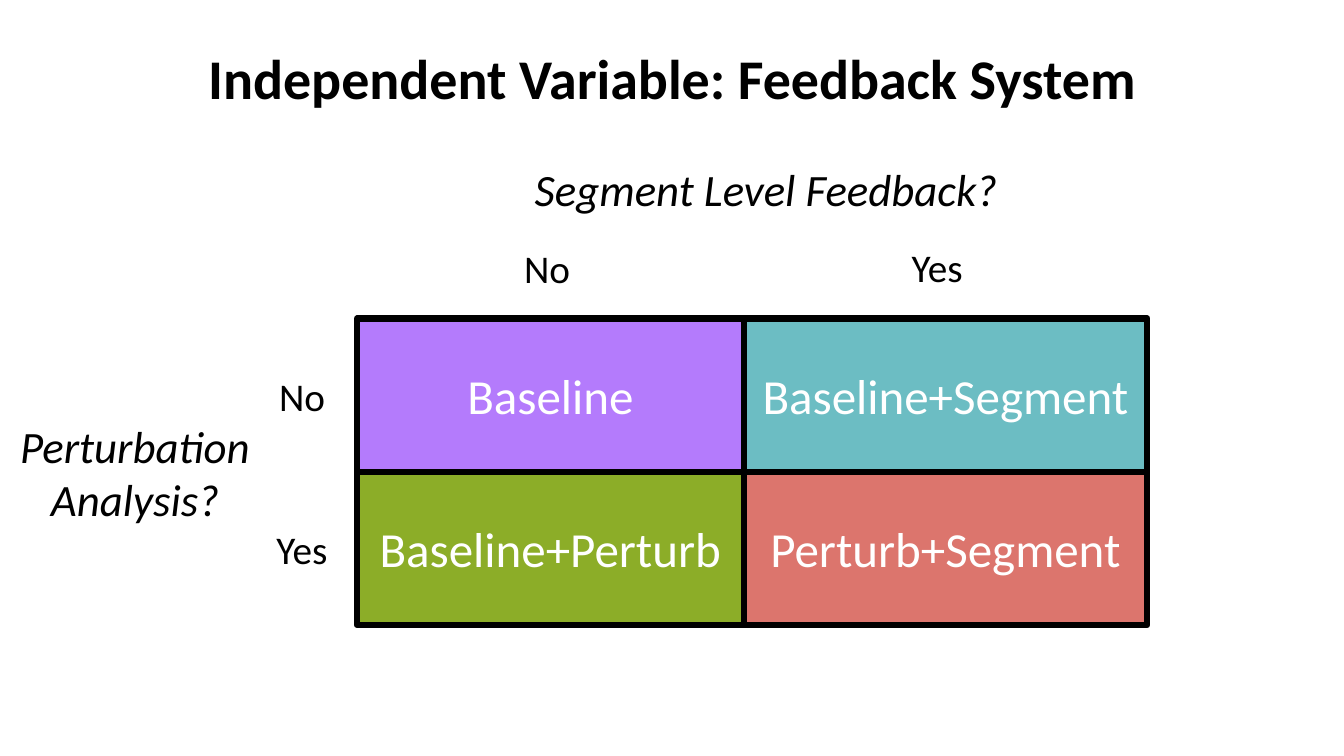
from pptx import Presentation
from pptx.dml.color import RGBColor
from pptx.enum.shapes import MSO_SHAPE
from pptx.enum.text import MSO_ANCHOR, PP_ALIGN
from pptx.util import Inches, Pt

COLORS = {
    "ink": "000000",
    "white": "FFFFFF",
    "purple": "B47BFC",
    "teal": "6CBDC3",
    "green": "8CAD28",
    "red": "DC756D",
}
FONT = "Calibri"

GRID_LEFT, GRID_TOP = 3.54, 3.16
COLUMN_WIDTHS = (3.84, 4.0)
ROW_HEIGHT = 1.52
CONDITIONS = (
    (("Baseline", "purple"), ("Baseline+Segment", "teal")),
    (("Baseline+Perturb", "green"), ("Perturb+Segment", "red")),
)


def rgb(name):
    return RGBColor.from_string(COLORS[name])


def write(frame, lines, size, color="ink", bold=False, italic=False):
    """Fill a text frame with centred paragraphs, one per line."""
    frame.word_wrap = True
    for index, line in enumerate(lines):
        paragraph = frame.add_paragraph() if index else frame.paragraphs[0]
        paragraph.alignment = PP_ALIGN.CENTER
        run = paragraph.add_run()
        run.text = line
        run.font.name = FONT
        run.font.size = Pt(size)
        run.font.bold = bold
        run.font.italic = italic
        run.font.color.rgb = rgb(color)


def set_title(slide, wording):
    title = slide.shapes.title
    title.left, title.top = Inches(0), Inches(0.27)
    title.width, title.height = Inches(13.33), Inches(1.08)
    title.text_frame.vertical_anchor = MSO_ANCHOR.MIDDLE
    write(title.text_frame, [wording], 40, bold=True)
    title.text_frame.paragraphs[0].line_spacing = 0.9


def add_label(slide, lines, left, top, width, height, size=28, italic=False):
    label = slide.shapes.add_textbox(
        Inches(left), Inches(top), Inches(width), Inches(height))
    write(label.text_frame, lines, size, italic=italic)


def add_condition(slide, name, color, left, top, width):
    cell = slide.shapes.add_shape(
        MSO_SHAPE.RECTANGLE,
        Inches(left), Inches(top), Inches(width), Inches(ROW_HEIGHT))
    cell.shadow.inherit = False
    cell.fill.solid()
    cell.fill.fore_color.rgb = rgb(color)
    cell.line.color.rgb = rgb("ink")
    cell.line.width = Pt(4.5)
    cell.text_frame.vertical_anchor = MSO_ANCHOR.MIDDLE
    write(cell.text_frame, [name], 35, "white")


def add_design_grid(slide):
    """Draw the two-by-two grid of study conditions."""
    for row, conditions in enumerate(CONDITIONS):
        for column, (name, color) in enumerate(conditions):
            add_condition(slide, name, color,
                          GRID_LEFT + sum(COLUMN_WIDTHS[:column]),
                          GRID_TOP + row * ROW_HEIGHT,
                          COLUMN_WIDTHS[column])


def main():
    deck = Presentation()
    deck.slide_width, deck.slide_height = Inches(13.33), Inches(7.5)
    slide = deck.slides.add_slide(deck.slide_layouts[5])

    set_title(slide, "Independent Variable: Feedback System")
    add_design_grid(slide)

    add_label(slide, ["Segment Level Feedback?"], 3.68, 1.56, 7.84, 0.64,
              size=32, italic=True)
    add_label(slide, ["No"], 5.03, 2.37, 0.79, 0.57)
    add_label(slide, ["Yes"], 8.82, 2.36, 0.95, 0.57)

    add_label(slide, ["Perturbation", "Analysis?"], 0, 4.1, 2.68, 1.18,
              size=32, italic=True)
    for row, answer in enumerate(("No", "Yes")):
        add_label(slide, [answer], 2.6, 3.64 + row * ROW_HEIGHT, 0.79, 0.57)

    deck.save("out.pptx")


if __name__ == "__main__":
    main()
